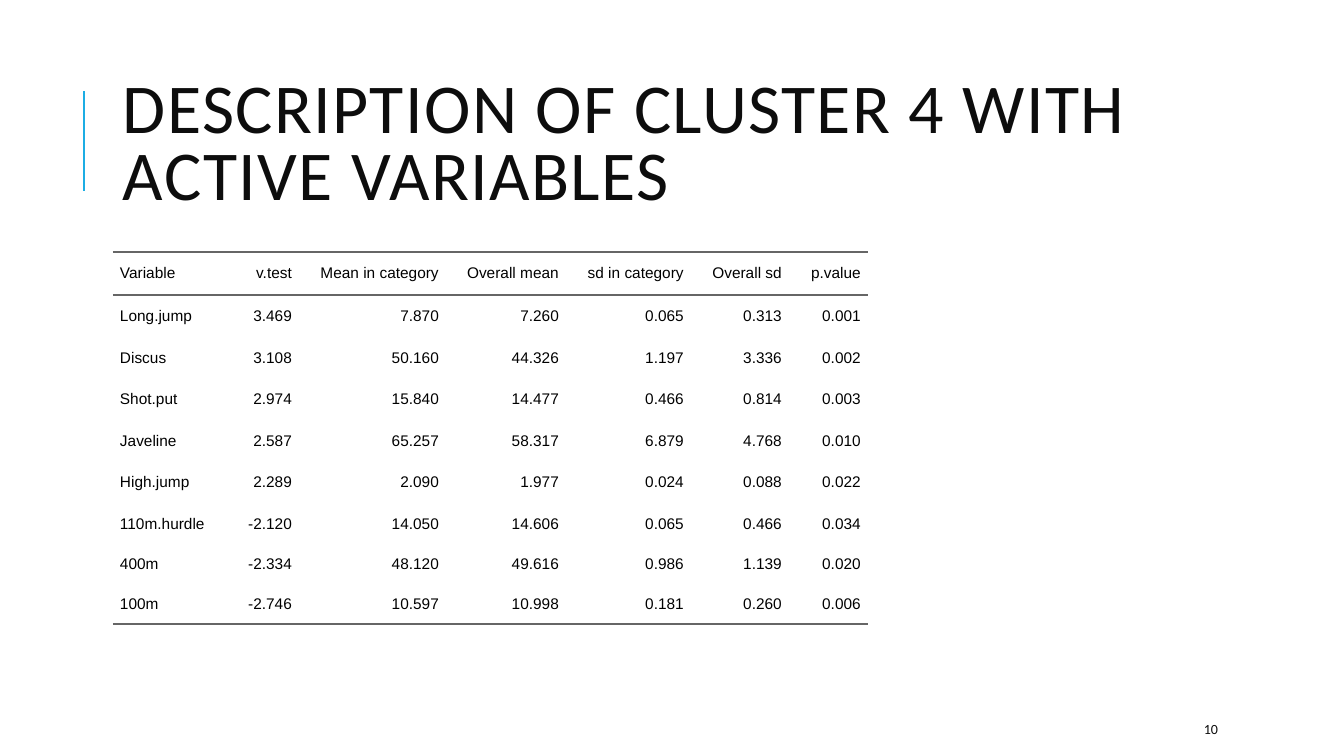
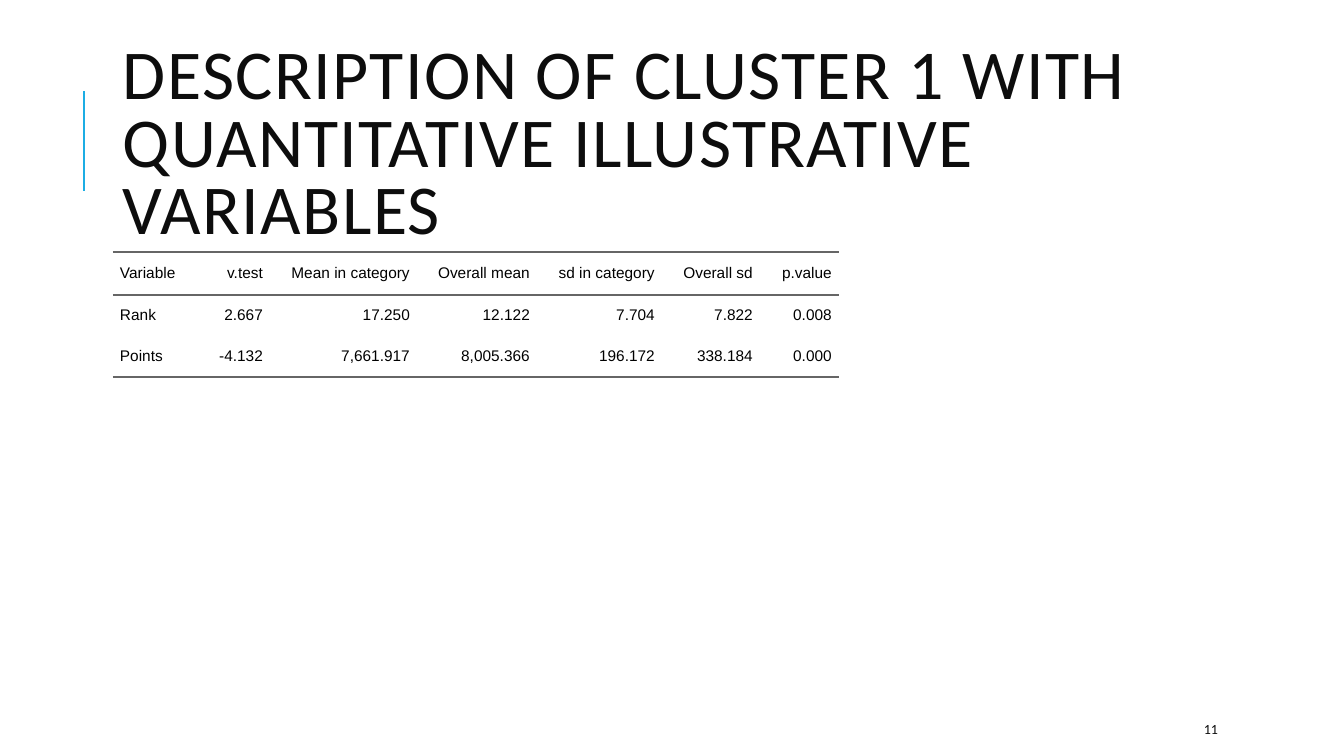
"""Build two slides of cluster descriptions, each with a title and a ruled table."""
from lxml.etree import SubElement
from pptx import Presentation
from pptx.dml.color import RGBColor
from pptx.enum.shapes import MSO_CONNECTOR
from pptx.enum.text import MSO_ANCHOR, PP_ALIGN
from pptx.oxml.ns import qn
from pptx.util import Pt

PX = 12192000 / 1344
COLORS = {"accent": "1CADE4", "ink": "0D0D0D", "cell": "000000", "rule": "666666"}
NO_STYLE_NO_GRID = "{2D5ABB26-0587-4C30-8999-92F81FD0307C}"
HEADER = ["Variable", "v.test", "Mean in category", "Overall mean",
          "sd in category", "Overall sd", "p.value"]
VALUE_WIDTHS = [72, 147, 120, 125, 98, 79]
TABLE_LEFT, TABLE_TOP, CELL_PAD = 113, 252, 7

SLIDES = [
    {
        "title": "DESCRIPTION OF CLUSTER 4 WITH ACTIVE VARIABLES",
        "number": "10",
        "variable_width": 114,
        "heights": [43, 43, 40, 43, 40, 43, 40, 40, 40],
        "rows": [
            ["Long.jump", "3.469", "7.870", "7.260", "0.065", "0.313", "0.001"],
            ["Discus", "3.108", "50.160", "44.326", "1.197", "3.336", "0.002"],
            ["Shot.put", "2.974", "15.840", "14.477", "0.466", "0.814", "0.003"],
            ["Javeline", "2.587", "65.257", "58.317", "6.879", "4.768", "0.010"],
            ["High.jump", "2.289", "2.090", "1.977", "0.024", "0.088", "0.022"],
            ["110m.hurdle", "-2.120", "14.050", "14.606", "0.065", "0.466", "0.034"],
            ["400m", "-2.334", "48.120", "49.616", "0.986", "1.139", "0.020"],
            ["100m", "-2.746", "10.597", "10.998", "0.181", "0.260", "0.006"],
        ],
    },
    {
        "title": "DESCRIPTION OF CLUSTER 1 WITH QUANTITATIVE ILLUSTRATIVE VARIABLES",
        "number": "11",
        "variable_width": 85,
        "heights": [43, 40, 42],
        "rows": [
            ["Rank", "2.667", "17.250", "12.122", "7.704", "7.822", "0.008"],
            ["Points", "-4.132", "7,661.917", "8,005.366", "196.172", "338.184", "0.000"],
        ],
    },
]


def px(*lengths):
    return [round(length * PX) for length in lengths]


def write(frame, text, size, font, color):
    frame.word_wrap = True
    frame.text = text
    paragraph = frame.paragraphs[0]
    run_font = paragraph.runs[0].font
    run_font.size, run_font.name = Pt(size), font
    run_font.color.rgb = RGBColor.from_string(COLORS[color])
    return paragraph


prs = Presentation()
prs.slide_width, prs.slide_height = px(1344, 756)

for content in SLIDES:
    slide = prs.slides.add_slide(prs.slide_layouts[6])

    accent = slide.shapes.add_connector(MSO_CONNECTOR.STRAIGHT, *px(84, 191, 84, 91))
    accent.line.color.rgb = RGBColor.from_string(COLORS["accent"])
    accent.line.width = Pt(1.5)
    SubElement(accent._element.spPr, qn("a:effectLst"))

    title = slide.shapes.add_textbox(*px(113, 64, 1072, 166)).text_frame
    title.vertical_anchor = MSO_ANCHOR.MIDDLE
    heading = write(title, content["title"], 50, "Calibri", "ink")
    heading.line_spacing = 0.8
    heading.runs[0].font._element.set("spc", "100")

    rows = [HEADER] + content["rows"]
    widths = [content["variable_width"]] + VALUE_WIDTHS
    heights = content["heights"]
    results = slide.shapes.add_table(
        len(rows), len(widths), *px(TABLE_LEFT, TABLE_TOP, sum(widths), sum(heights))).table
    results.first_row = results.horz_banding = False
    results._tbl.tblPr.find(qn("a:tableStyleId")).text = NO_STYLE_NO_GRID
    for column, width in zip(results.columns, px(*widths)):
        column.width = width
    for row, height in zip(results.rows, px(*heights)):
        row.height = height

    rules = {0: ["a:lnT", "a:lnB"], len(rows) - 1: ["a:lnB"]}
    for r, values in enumerate(rows):
        for c, value in enumerate(values):
            cell = results.cell(r, c)
            cell.vertical_anchor = MSO_ANCHOR.MIDDLE
            (cell.margin_left, cell.margin_top,
             cell.margin_right, cell.margin_bottom) = px(*[CELL_PAD] * 4)
            entry = write(cell.text_frame, value, 11, "Arial", "cell")
            entry.alignment = PP_ALIGN.RIGHT if c else PP_ALIGN.LEFT
            entry.space_before = entry.space_after = Pt(5)
            for side in rules.get(r, []):
                rule = SubElement(cell._tc.get_or_add_tcPr(), qn(side), w=str(Pt(1.5)))
                SubElement(SubElement(rule, qn("a:solidFill")), qn("a:srgbClr"),
                           val=COLORS["rule"])
            cell.fill.background()

    page = slide.shapes.add_textbox(*px(1194, 714, 107, 30)).text_frame
    page.vertical_anchor = MSO_ANCHOR.MIDDLE
    write(page, content["number"], 10, "Calibri", "ink")

prs.save("out.pptx")
